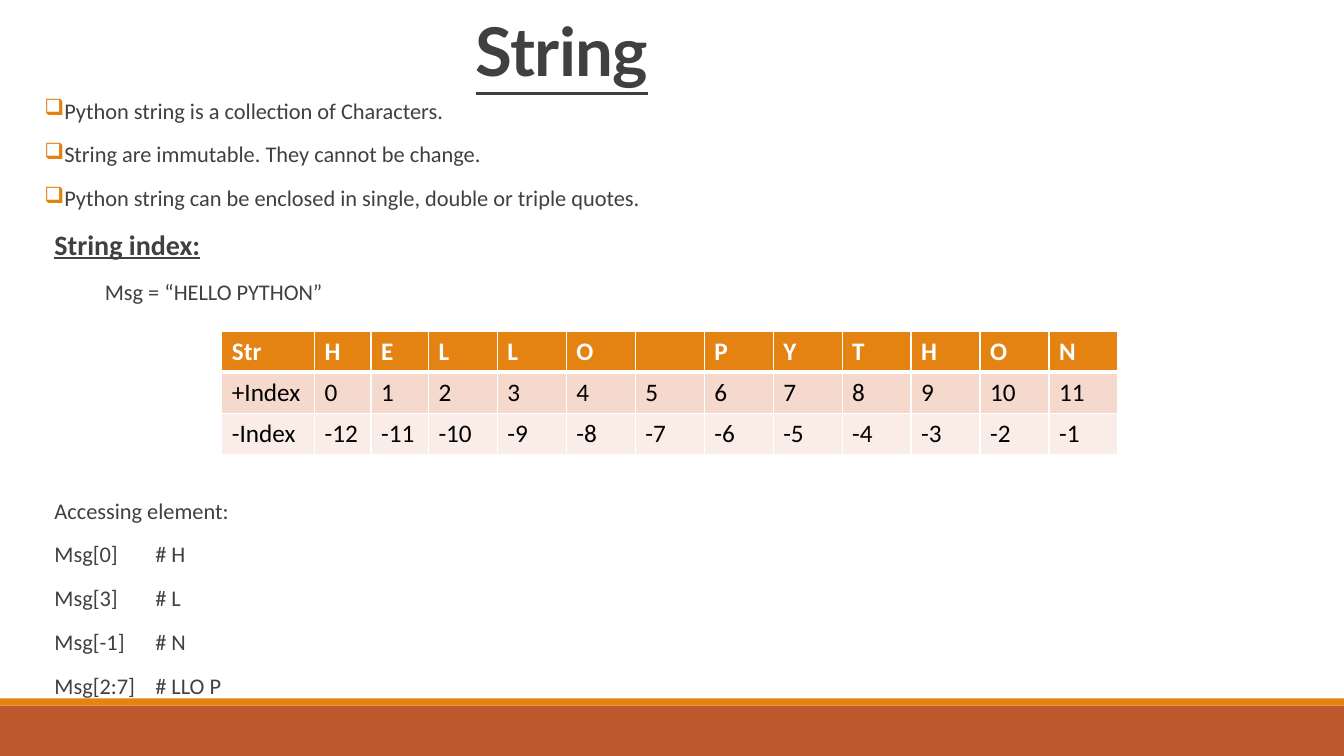
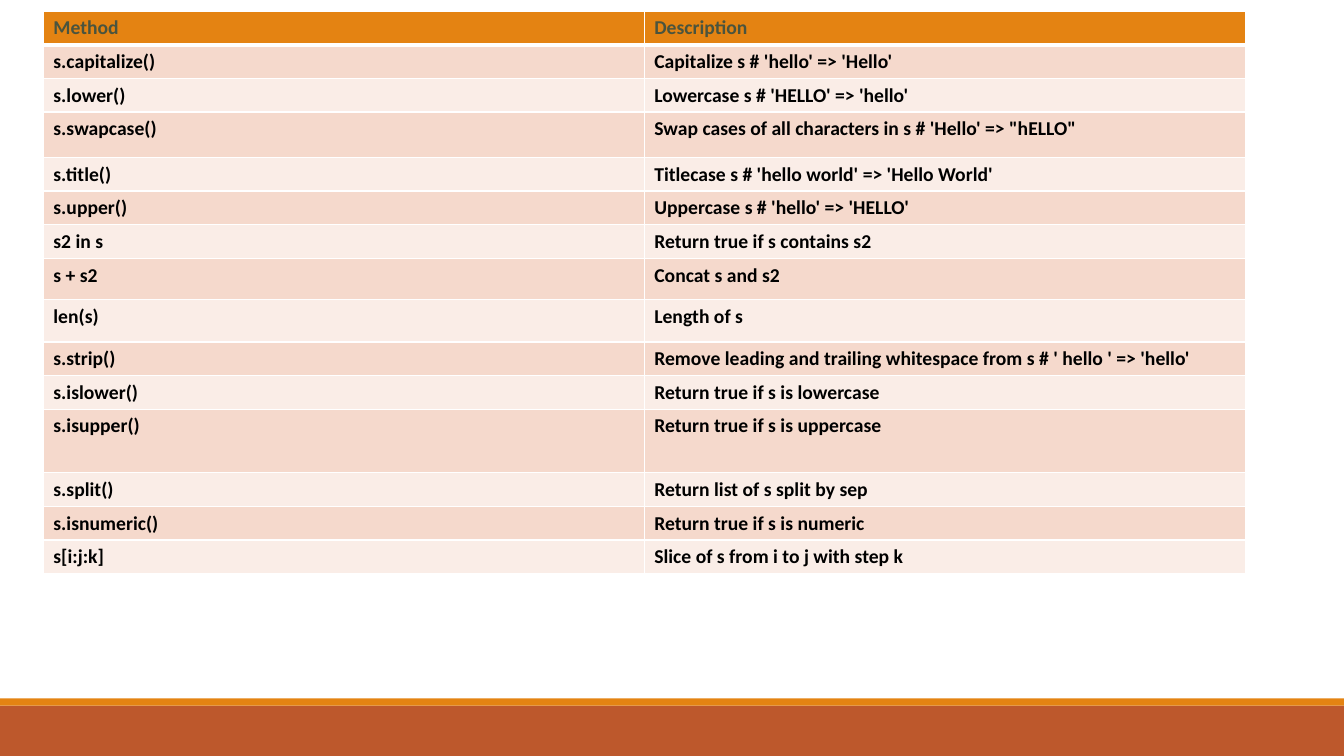
from pptx import Presentation
from pptx.dml.color import RGBColor
from pptx.enum.shapes import MSO_SHAPE
from pptx.enum.text import MSO_ANCHOR
from pptx.oxml.ns import qn
from pptx.util import Inches, Pt
from lxml.etree import SubElement


def color(code):
    return RGBColor.from_string(code)


def assign(target, values):
    for name, value in values.items():
        setattr(target, name, value)


class Deck:
    WHITE, BLACK, GRAY = "FFFFFF", "000000", "404040"
    ORANGE, RUST = "E48312", "BD582C"
    STRIPES = ("F5D9CC", "FAEDE7")
    BANDS = ((7, 0.5, RUST), (6.93, 0.07, ORANGE))
    THICK = ((0, "B"), (1, "T"))
    TITLE = {"name": "Lato", "size": Pt(48), "bold": True, "underline": True}
    BODY = {"name": "Calibri", "size": Pt(16)}
    HEADING = {"name": "Calibri", "size": Pt(20), "bold": True, "underline": True}
    SPACING = {"line_spacing": 0.9, "space_before": Pt(12), "space_after": Pt(2)}

    def __init__(self):
        self.file = Presentation()
        assign(self.file, {"slide_width": Inches(13.33), "slide_height": Inches(7.5)})

    def start(self):
        self.slide = self.file.slides.add_slide(self.file.slide_layouts[6])
        for top, height, fill in self.BANDS:
            self.band(top, height, fill)

    def band(self, top, height, fill):
        band = self.slide.shapes.add_shape(
            MSO_SHAPE.RECTANGLE, 0, Inches(top), self.file.slide_width, Inches(height))
        band.shadow.inherit = False
        band.fill.solid()
        band.fill.fore_color.rgb = color(fill)
        band.line.fill.background()

    def frame(self, box, **values):
        frame = self.slide.shapes.add_textbox(*map(Inches, box)).text_frame
        assign(frame, {"word_wrap": True, **values})
        return frame

    def label(self, para, text, font, tint):
        run = para.add_run()
        run.text = text
        assign(run.font, font)
        run.font.color.rgb = color(tint)
        return run

    def title(self, text, box):
        para = self.frame(box, vertical_anchor=MSO_ANCHOR.BOTTOM).paragraphs[0]
        para.line_spacing = 0.85
        run = self.label(para, text, self.TITLE, self.GRAY)
        run._r.get_or_add_rPr().set("spc", "-50")

    def bullet(self, props):
        props.set("indent", str(-Inches(0.1)))
        tint = SubElement(props, qn("a:buClr"))
        SubElement(tint, qn("a:srgbClr"), val=self.ORANGE)
        SubElement(props, qn("a:buChar"), char="❑")

    def body(self, lines, box):
        frame = self.frame(box, margin_left=0, margin_right=0)
        for index, (kind, text) in enumerate(lines):
            para = frame.add_paragraph() if index else frame.paragraphs[0]
            assign(para, self.SPACING)
            props = para._p.get_or_add_pPr()
            props.set("marL", str(Inches(0.1)))
            if kind == "bullet":
                self.bullet(props)
            font = self.HEADING if kind == "heading" else self.BODY
            self.label(para, text, font, self.GRAY)

    def border(self, cell, row):
        props = cell._tc.get_or_add_tcPr()
        for side in "LRTB":
            points = 3 if (row, side) in self.THICK else 1
            line = SubElement(props, qn("a:ln" + side), w=str(Pt(points)))
            fill = SubElement(line, qn("a:solidFill"))
            SubElement(fill, qn("a:srgbClr"), val=self.WHITE)

    def table(self, rows, left, top, widths, heights, size, head, bold):
        grid = self.slide.shapes.add_table(
            len(rows), len(widths), Inches(left), Inches(top),
            Inches(sum(widths)), Inches(sum(heights))).table
        assign(grid, {"first_row": False, "horz_banding": False})
        for column, width in zip(grid.columns, widths):
            column.width = Inches(width)
        for index, (row, height) in enumerate(zip(grid.rows, heights)):
            row.height = Inches(height)
            fill = self.STRIPES[(index - 1) % 2] if index else self.ORANGE
            tint = self.BLACK if index else head
            font = {"name": "Calibri", "size": Pt(size), "bold": bold or index == 0}
            for cell, text in zip(row.cells, rows[index]):
                self.border(cell, index)
                cell.fill.solid()
                cell.fill.fore_color.rgb = color(fill)
                if text:
                    self.label(cell.text_frame.paragraphs[0], text, font, tint)


INTRO = [
    ("bullet", "Python string is a collection of Characters."),
    ("bullet", "String are immutable. They cannot be change."),
    ("bullet", "Python string can be enclosed in single, double or triple quotes."),
    ("heading", "String index:"),
    ("plain", "\tMsg = “HELLO PYTHON”"),
]
ACCESS = [
    ("plain", "Accessing element:"),
    ("plain", "Msg[0]\t# H"),
    ("plain", "Msg[3]\t# L"),
    ("plain", "Msg[-1]\t# N"),
    ("plain", "Msg[2:7]\t# LLO P"),
]
WORD = "HELLO PYTHON"
INDEX = [
    ["Str", *(letter.strip() for letter in WORD)],
    ["+Index", *map(str, range(len(WORD)))],
    ["-Index", *map(str, range(-len(WORD), 0))],
]
METHODS = [
    ("Method", "Description"),
    ("s.capitalize()", "Capitalize s # 'hello' => 'Hello'"),
    ("s.lower()", "Lowercase s # 'HELLO' => 'hello'"),
    ("s.swapcase()", "Swap cases of all characters in s # 'Hello' => \"hELLO\""),
    ("s.title()", "Titlecase s # 'hello world' => 'Hello World'"),
    ("s.upper()", "Uppercase s # 'hello' => 'HELLO'"),
    ("s2 in s", "Return true if s contains s2"),
    ("s + s2", "Concat s and s2"),
    ("len(s)", "Length of s"),
    ("s.strip()", "Remove leading and trailing whitespace from s # ' hello ' => 'hello'"),
    ("s.islower()", "Return true if s is lowercase"),
    ("s.isupper()", "Return true if s is uppercase"),
    ("s.split()", "Return list of s split by sep"),
    ("s.isnumeric()", "Return true if s is numeric"),
    ("s[i:j:k]", "Slice of s from i to j with step k"),
]
TALL = {3: 0.45, 7: 0.41, 8: 0.42, 11: 0.63}


def main():
    deck = Deck()
    deck.start()
    deck.title("String", (4.62, 0.12, 3.04, 0.82))
    deck.body(INTRO, (0.44, 0.94, 11.02, 2.2))
    narrow = [0.92, 0.56, 0.57]
    wide = (8.89 - sum(narrow)) / 10
    deck.table(INDEX, 2.2, 3.29, narrow + [wide] * 10, [0.4, 0.41, 0.41],
               18, Deck.WHITE, False)
    deck.body(ACCESS, (0.44, 4.91, 11.02, 2.02))

    deck.start()
    heights = [TALL.get(index, 0.33) for index in range(len(METHODS))]
    deck.table(METHODS, 0.43, 0.11, [5.96] * 2, heights, 14, "4A543E", True)
    deck.file.save("out.pptx")


if __name__ == "__main__":
    main()
